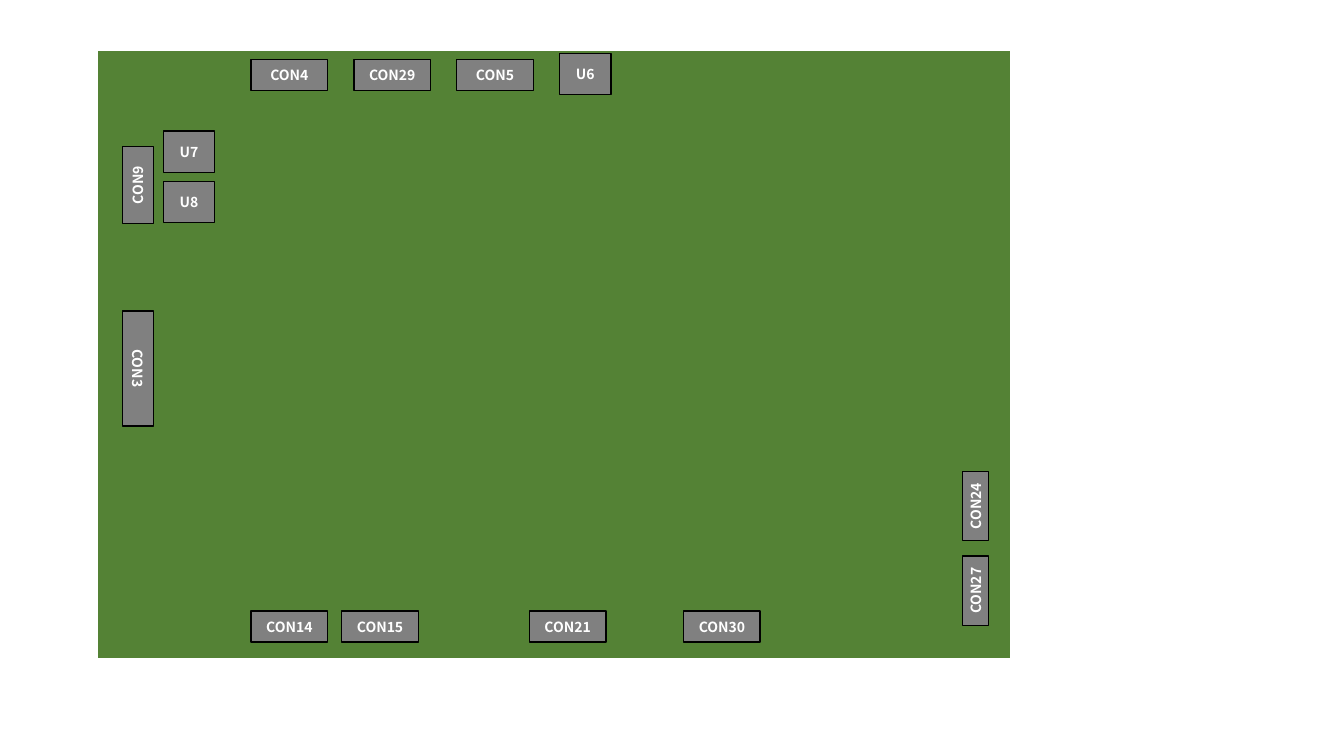
"""Draw a circuit board with its labelled connectors and chips."""
from dataclasses import dataclass

from pptx import Presentation
from pptx.dml.color import RGBColor
from pptx.enum.shapes import MSO_SHAPE
from pptx.enum.text import MSO_ANCHOR, PP_ALIGN
from pptx.util import Inches, Pt

FONT = "Noto Sans CJK KR"
COLORS = {"board": "548235", "part": "808080", "edge": "000000", "white": "FFFFFF"}
PLUG = (0.76, 0.31)
CHIP = (0.51, 0.41)
SLIM = (0.69, 0.26)
LONG = (1.14, 0.31)
TOP, BASE = 0.59, 6.06
LEFT, STEP = 2.49, 1.02


@dataclass
class Part:
    """A labelled part: place and size in inches before turning."""
    name: str
    left: float
    top: float
    size: tuple[float, float] = PLUG
    turn: int = 0


def color(key: str) -> RGBColor:
    """Look up a colour by its role."""
    return RGBColor.from_string(COLORS[key])


def add_box(slide, left: float, top: float, size: tuple[float, float],
            fill: str, edge: str, width: float):
    """Add a flat filled rectangle."""
    box = slide.shapes.add_shape(
        MSO_SHAPE.RECTANGLE, Inches(left), Inches(top), *map(Inches, size))
    box.shadow.inherit = False
    box.fill.solid()
    box.fill.fore_color.rgb = color(fill)
    box.line.color.rgb = color(edge)
    box.line.width = Pt(width)
    return box


def add_part(slide, part: Part) -> None:
    """Add one part with its centred name."""
    box = add_box(slide, part.left, part.top, part.size, "part", "edge", 1)
    box.rotation = part.turn
    frame = box.text_frame
    frame.margin_left = frame.margin_right = 0
    frame.margin_top = frame.margin_bottom = 0
    frame.vertical_anchor = MSO_ANCHOR.MIDDLE
    line = frame.paragraphs[0]
    line.text = part.name
    line.alignment = PP_ALIGN.CENTER
    line.font.name = FONT
    line.font.size = Pt(10)
    line.font.bold = True
    line.font.color.rgb = color("white")


PARTS = [
    *(Part(name, LEFT + i * STEP, TOP)
      for i, name in enumerate(("CON4", "CON29", "CON5"))),
    Part("U6", LEFT + 3 * STEP, 0.53, CHIP),
    Part("U7", 1.62, 1.3, CHIP),
    Part("U8", 1.62, 1.8, CHIP),
    Part("CON9", 0.99, 1.68, turn=270),
    Part("CON3", 0.8, 3.5, LONG, 90),
    Part("CON24", 9.33, 4.89, SLIM, 270),
    Part("CON27", 9.33, 5.73, SLIM, 270),
    Part("CON14", LEFT, BASE),
    Part("CON15", 3.39, BASE),
    Part("CON21", 5.25, BASE),
    Part("CON30", 6.78, BASE),
]

deck = Presentation()
deck.slide_width, deck.slide_height = Inches(13.33), Inches(7.5)
page = deck.slides.add_slide(deck.slide_layouts[6])
add_box(page, 0.95, 0.49, (9.09, 6.06), "board", "white", 3)
for item in PARTS:
    add_part(page, item)
deck.save("out.pptx")
